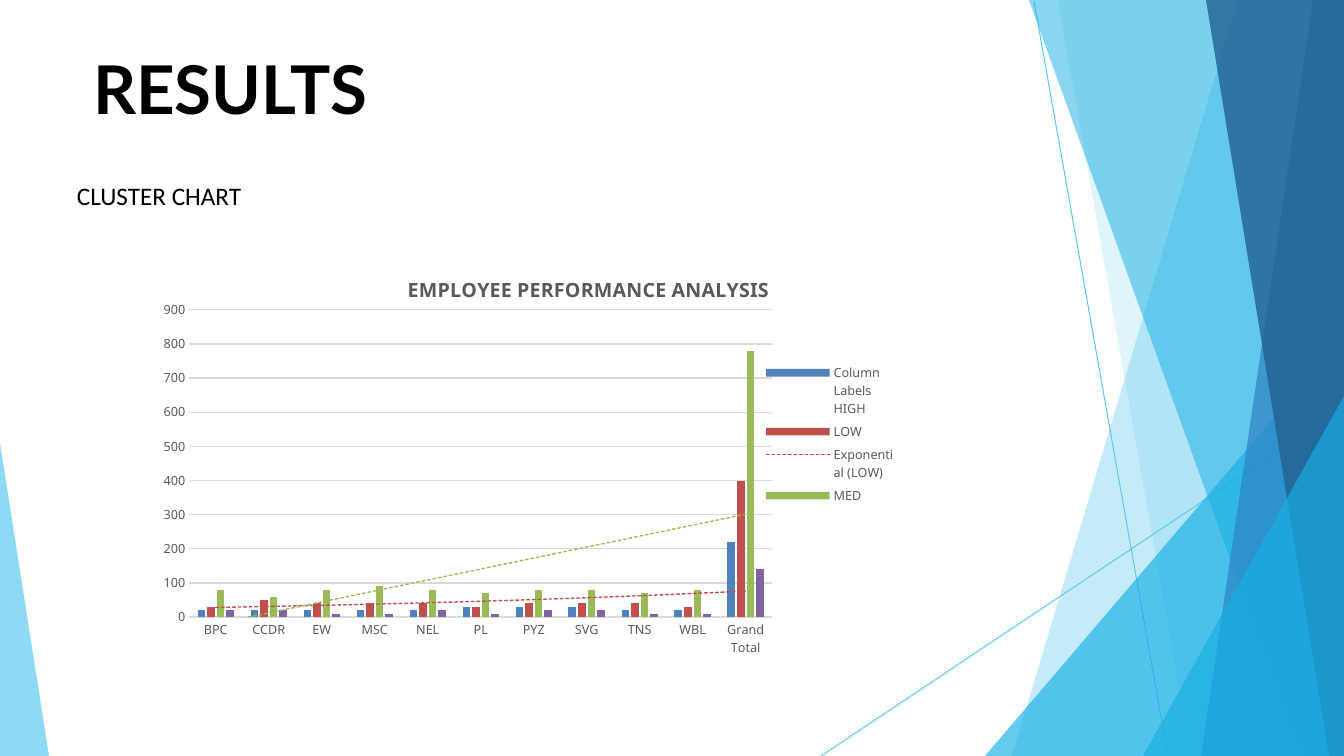
from lxml.etree import SubElement
from pptx import Presentation
from pptx.chart.data import CategoryChartData
from pptx.dml.color import RGBColor
from pptx.enum.chart import XL_CHART_TYPE, XL_LEGEND_POSITION, XL_TICK_MARK
from pptx.enum.shapes import MSO_CONNECTOR
from pptx.enum.text import MSO_ANCHOR, MSO_AUTO_SIZE, PP_ALIGN
from pptx.oxml import parse_xml
from pptx.oxml.ns import nsdecls, qn
from pptx.util import Pt

PX = 914400 / 100.8
WIDTH, HEIGHT = 1344, 756
COLORS = {
    "black": "000000", "grey": "595959", "grid": "D9D9D9",
    "sky": "5FCAEE", "cyan": "17AFE3", "blue": "2D83C3", "navy": "226192",
    "steel": "4F81BD", "red": "C0504D", "green": "9BBB59", "purple": "8064A2",
}
RAYS = [((1034, 1), (1168, 756)), ((1344, 407), (821, 756))]
FACETS = [
    ("sky", 36, [(1344, 0), (1238, 0), (1012, 756), (1344, 756)]),
    ("sky", 20, [(1344, 0), (1058, 0), (1191, 756), (1344, 756)]),
    ("cyan", 66, [(1344, 336), (985, 756), (1344, 756)]),
    ("cyan", 50, [(1344, 0), (1029, 0), (1301, 756), (1344, 756)]),
    ("blue", 70, [(1344, 0), (1313, 0), (1201, 756), (1344, 756)]),
    ("navy", 80, [(1344, 0), (1206, 0), (1329, 756), (1344, 756)]),
    ("cyan", 66, [(1344, 396), (1143, 756), (1344, 756)]),
    ("sky", 70, [(0, 443), (0, 756), (49, 756)]),
]
TITLE = ("RESULTS", "Lato", 48, True, (83, 42, 1177, 84))
SUBTITLE = ("CLUSTER CHART", "Calibri", 18, False, (67, 175, 1210, 40))
CHART_TITLE = "EMPLOYEE PERFORMANCE ANALYSIS"
CHART_BOX = (151, 222, 767, 488)
CHART_FONT = "Noto Sans"
CATEGORIES = ["BPC", "CCDR", "EW", "MSC", "NEL", "PL", "PYZ", "SVG", "TNS", "WBL", "Grand Total"]
SERIES = [
    ("Column Labels HIGH", "steel", None, [20, 20, 20, 20, 20, 30, 30, 30, 20, 20, 220]),
    ("LOW", "red", "exp", [30, 50, 40, 40, 40, 30, 40, 40, 40, 30, 400]),
    ("MED", "green", "linear", [80, 60, 80, 90, 80, 70, 80, 80, 70, 80, 780]),
    ("", "purple", None, [20, 20, 10, 10, 20, 10, 20, 20, 10, 10, 140]),
]
HIDDEN_LEGEND_ENTRIES = [3, 5]


def emu(*lengths):
    return [round(length * PX) for length in lengths]


def color(name):
    return RGBColor.from_string(COLORS[name])


def style_font(font, name, size, color_name, bold=False):
    font.name, font.size, font.bold = name, Pt(size), bold
    font.color.rgb = color(color_name)


def add_ray(slide, start, end):
    ray = slide.shapes.add_connector(MSO_CONNECTOR.STRAIGHT, *emu(*start, *end))
    ray.line.color.rgb = color("sky")
    ray.line.width = Pt(0.75)
    SubElement(ray._element.spPr, qn("a:effectLst"))


def add_facet(slide, color_name, opacity, points):
    builder = slide.shapes.build_freeform(*points[0], scale=PX)
    builder.add_line_segments(points[1:], close=True)
    facet = builder.convert_to_shape()
    facet.shadow.inherit = False
    facet.line.fill.background()
    facet.fill.solid()
    facet.fill.fore_color.rgb = color(color_name)
    tint = facet._element.spPr.find(qn("a:solidFill"))[0]
    SubElement(tint, qn("a:alpha"), val=str(opacity * 1000))


def write_text(shape, text, font_name, size, bold, box):
    shape.left, shape.top, shape.width, shape.height = emu(*box)
    frame = shape.text_frame
    frame.word_wrap = True
    frame.auto_size = MSO_AUTO_SIZE.NONE
    frame.vertical_anchor = MSO_ANCHOR.TOP
    paragraph = frame.paragraphs[0]
    paragraph.alignment = PP_ALIGN.LEFT
    run = paragraph.add_run()
    run.text = text
    style_font(run.font, font_name, size, "black", bold)


def manual_layout(parent, x, y, width=None, height=None, inner=False):
    for existing in parent.findall(qn("c:layout")):
        parent.remove(existing)
    target = '<c:layoutTarget val="inner"/>' if inner else ""
    size = f'<c:w val="{width}"/><c:h val="{height}"/>' if width else ""
    return parse_xml(
        f'<c:layout {nsdecls("c")}><c:manualLayout>{target}'
        f'<c:xMode val="edge"/><c:yMode val="edge"/>'
        f'<c:x val="{x}"/><c:y val="{y}"/>{size}</c:manualLayout></c:layout>')


def add_trendline(series, kind, color_name):
    trendline = parse_xml(
        f'<c:trendline {nsdecls("c", "a")}><c:spPr><a:ln w="12700" cap="rnd"><a:solidFill>'
        f'<a:srgbClr val="{COLORS[color_name]}"/></a:solidFill><a:prstDash val="sysDash"/></a:ln></c:spPr>'
        f'<c:trendlineType val="{kind}"/><c:dispRSqr val="0"/><c:dispEq val="0"/></c:trendline>')
    series._element.find(qn("c:cat")).addprevious(trendline)


def format_axes(chart):
    for axis in (chart.category_axis, chart.value_axis):
        axis.major_tick_mark = axis.minor_tick_mark = XL_TICK_MARK.NONE
        style_font(axis.tick_labels.font, CHART_FONT, 9, "grey")
    chart.value_axis.minimum_scale = 0
    chart.value_axis.maximum_scale = 900
    chart.value_axis.major_unit = 100
    chart.value_axis.format.line.fill.background()
    for line in (chart.category_axis.format.line, chart.value_axis.major_gridlines.format.line):
        line.color.rgb = color("grid")
        line.width = Pt(1)


def format_legend(chart):
    chart.has_legend = True
    chart.legend.position = XL_LEGEND_POSITION.RIGHT
    chart.legend.include_in_layout = False
    style_font(chart.legend.font, CHART_FONT, 9, "grey")
    legend = chart.legend._element
    position = legend.find(qn("c:legendPos"))
    position.addnext(manual_layout(legend, 0.8, 0.28, 0.17, 0.31))
    for index in reversed(HIDDEN_LEGEND_ENTRIES):
        position.addnext(parse_xml(
            f'<c:legendEntry {nsdecls("c")}><c:idx val="{index}"/><c:delete val="1"/></c:legendEntry>'))


def add_performance_chart(slide):
    data = CategoryChartData()
    data.categories = CATEGORIES
    for name, _, _, values in SERIES:
        data.add_series(name, values)
    chart = slide.shapes.add_chart(XL_CHART_TYPE.COLUMN_CLUSTERED, *emu(*CHART_BOX), data).chart
    style_font(chart.font, CHART_FONT, 10, "black")

    run = chart.chart_title.text_frame.paragraphs[0].add_run()
    run.text = CHART_TITLE
    style_font(run.font, CHART_FONT, 14, "grey", True)
    title = chart.chart_title._element
    title.find(qn("c:tx")).addnext(manual_layout(title, 0.33, 0.1))

    plot = chart.plots[0]
    plot.gap_width, plot.overlap, plot.vary_by_categories = 219, -27, False
    for series, (_, color_name, trend, _) in zip(plot.series, SERIES):
        series.format.fill.solid()
        series.format.fill.fore_color.rgb = color(color_name)
        if trend:
            add_trendline(series, trend, color_name)
    format_axes(chart)
    format_legend(chart)
    plot_area = chart._chartSpace.chart.plotArea
    plot_area.insert(0, manual_layout(plot_area, 0.05, 0.18, 0.76, 0.63, inner=True))


def main():
    presentation = Presentation()
    presentation.slide_width, presentation.slide_height = emu(WIDTH, HEIGHT)
    slide = presentation.slides.add_slide(presentation.slide_layouts[5])
    for start, end in RAYS:
        add_ray(slide, start, end)
    for facet in FACETS:
        add_facet(slide, *facet)
    title = slide.shapes.title
    slide.shapes._spTree.append(title._element)
    write_text(title, *TITLE)
    write_text(slide.shapes.add_textbox(0, 0, 0, 0), *SUBTITLE)
    add_performance_chart(slide)
    presentation.save("out.pptx")


if __name__ == "__main__":
    main()
